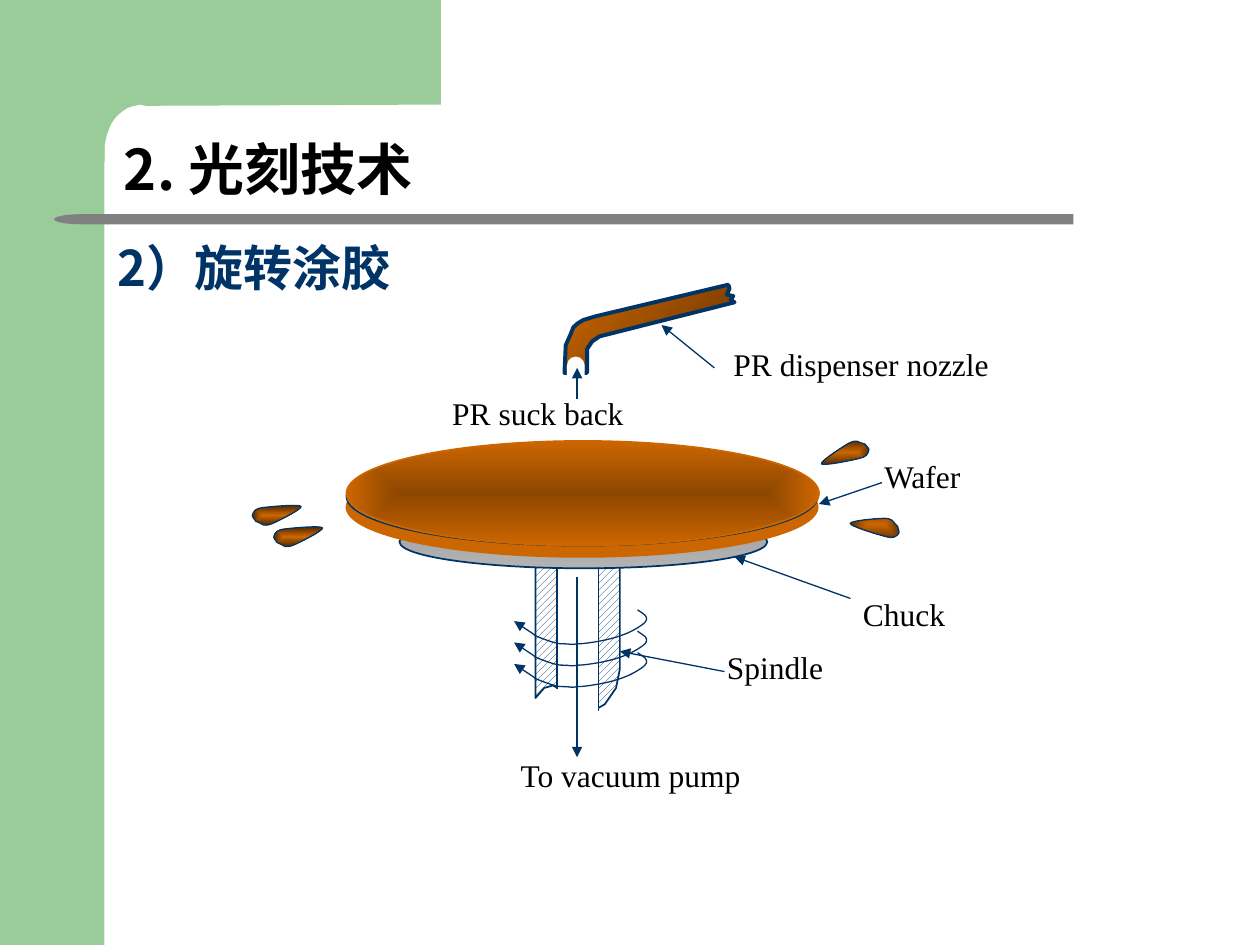
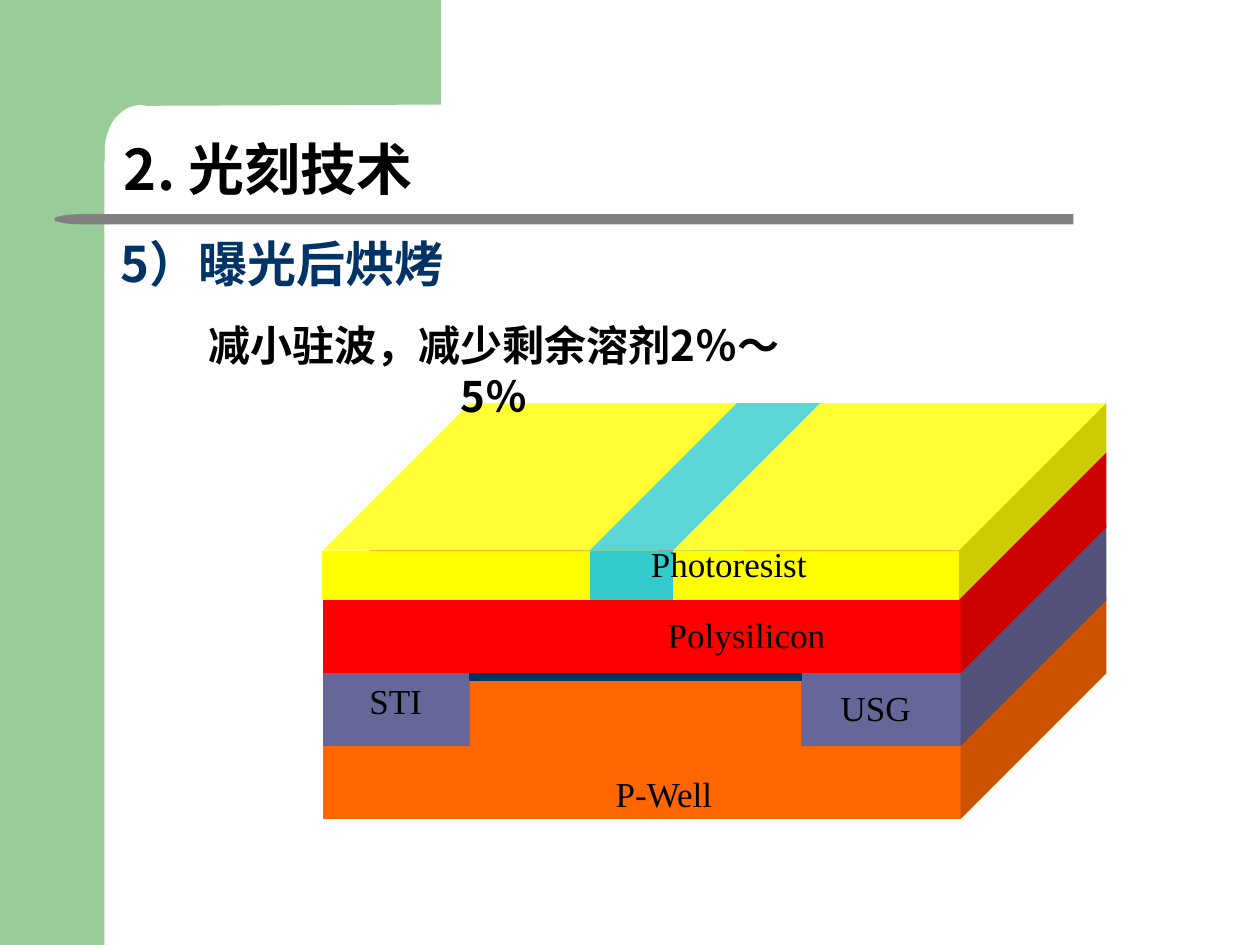
"""Build two slides on photolithography: spin coating and post-exposure bake."""
from dataclasses import dataclass

from lxml import etree
from pptx import Presentation
from pptx import util as u
from pptx.dml.color import RGBColor
from pptx.enum import dml, shapes, text
from pptx.oxml.ns import qn

PRESET = shapes.MSO_SHAPE
LEFT, CENTER = text.PP_ALIGN.LEFT, text.PP_ALIGN.CENTER


@dataclass(frozen=True)
class Theme:
    """Colours, fonts and type sizes of the deck."""

    white: str = "FFFFFF"
    black: str = "000000"
    green: str = "99CC99"
    gray: str = "808080"
    navy: str = "003366"
    red: str = "FF0033"
    resist: str = "CC6600"
    resist_dark: str = "663300"
    resist_center: str = "8E4700"
    drop_edge: str = "5E2F00"
    chuck_top: str = "A0A0A0"
    chuck_bottom: str = "B2B2B2"
    well: str = "FF6600"
    isolation: str = "666699"
    oxide: str = "333333"
    polysilicon: str = "FF0000"
    photoresist: str = "FFFF00"
    exposed: str = "33CCCC"
    chinese: str = "Noto Sans CJK SC"
    latin: str = "Times New Roman"
    section_size: int = 32
    title_size: int = 28
    body_size: int = 24
    layer_size: int = 20
    label_size: int = 18


THEME = Theme()
CORNER = ((3.5, 0), (3.5, 0.83), (1.16, 0.84), (1.11, 0.83), (1.03, 0.85),
          (1, 0.86, 0.96, 0.89, 0.93, 0.92), (0.9, 0.95, 0.87, 1, 0.86, 1.04),
          (0.84, 1.08, 0.84, 1.12, 0.83, 1.16), (0.83, 1.28), (0.5, 1.28), (0.5, 0.83),
          (0.5, 0), (3.5, 0))
SPINDLE = ((4.25, 4.35), (4.25, 5.54), (4.32, 5.46), (4.39, 5.44), (4.51, 5.51),
           (4.6, 5.6), (4.71, 5.64), (4.8, 5.59), (4.89, 5.46), (4.92, 5.31), (4.92, 4.35))
FLOW = ((3.74, 4.11), (3.97, 4.12), (4.24, 4.17), (4.45, 4.22), (4.54, 4.26))
NOZZLE = ((5.78, 2.26), (4.73, 2.51), (4.63, 2.54), (4.58, 2.57), (4.55, 2.6),
          (4.53, 2.65), (4.49, 2.74), (4.48, 2.96), (4.66, 2.96), (4.66, 2.87), (4.66, 2.77),
          (4.7, 2.71), (4.76, 2.67), (5.83, 2.4), (5.8, 2.38), (5.82, 2.35),
          (5.77, 2.34), (5.79, 2.29), (5.78, 2.26))
DROP = ((0.39, 0.02), (0.4, 0.04, 0.2, 0.14, 0.15, 0.16), (0.09, 0.18, 0.08, 0.16, 0.06, 0.15),
        (0.04, 0.15, 0.02, 0.13, 0.01, 0.11), (0, 0.1, 0, 0.09, 0.01, 0.07),
        (0.02, 0.06, 0.02, 0.04, 0.08, 0.03), (0.15, 0.02, 0.38, 0, 0.39, 0.02))
SPIN = ((5.06, 4.84), (5.07, 4.85, 5.13, 4.88, 5.13, 4.9), (5.14, 4.93, 5.11, 4.95, 5.08, 4.97),
        (5.05, 4.99, 5, 5.02, 4.94, 5.04), (4.89, 5.06, 4.81, 5.08, 4.75, 5.09),
        (4.69, 5.1, 4.63, 5.11, 4.58, 5.11), (4.54, 5.12, 4.52, 5.11, 4.48, 5.11),
        (4.45, 5.11, 4.44, 5.11, 4.4, 5.1), (4.36, 5.09, 4.28, 5.06, 4.26, 5.05),
        (4.23, 5.04, 4.26, 5.05, 4.23, 5.03), (4.2, 5.01, 4.11, 4.95, 4.08, 4.93))


def length(inches):
    """Turn inches into a length given in centimetres."""
    return u.Cm(inches * 2.54)


def box_of(box):
    """Turn left, top, width and height into lengths."""
    return [length(value) for value in box]


def rgb(value):
    """Turn a hex string into a colour."""
    return RGBColor.from_string(value)


def paint(shape, fill=None, line=None, width=1):
    """Give a shape a plain fill and line, or none."""
    shape.shadow.inherit = False
    if fill:
        shape.fill.solid()
        shape.fill.fore_color.rgb = rgb(fill)
    else:
        shape.fill.background()
    if line:
        shape.line.color.rgb = rgb(line)
        shape.line.width = u.Pt(width)
    else:
        shape.line.fill.background()
    return shape


def shade(shape, first, last, angle=None, path=None):
    """Give a shape a linear gradient, or one that spreads from its centre."""
    shape.fill.gradient()
    for stop, color in zip(shape.fill.gradient_stops, (first, last)):
        stop.color.rgb = rgb(color)
    if angle is not None:
        shape.fill.gradient_angle = angle
    if path:
        gradient = shape._element.spPr.find(qn("a:gradFill"))
        gradient.remove(gradient.find(qn("a:lin")))
        spread = etree.SubElement(gradient, qn("a:path"), path=path)
        etree.SubElement(spread, qn("a:fillToRect"), l="50000", t="50000", r="50000", b="50000")


def add_arrowhead(shape):
    """Put a triangle at the end of a line."""
    line = shape._element.spPr.find(qn("a:ln"))
    etree.SubElement(line, qn("a:tailEnd"), type="triangle")


def add_preset(slide, preset, box, fill=None, adjust=None, **line):
    """Add a preset shape."""
    shape = slide.shapes.add_shape(preset, *box_of(box))
    if adjust is not None:
        shape.adjustments[0] = adjust
    return paint(shape, fill, **line)


def add_outline(slide, outline, offset=(0, 0), close=True, **style):
    """Add a freeform of corners (x, y) and cubic curves (six numbers)."""
    parts = [[length(value + offset[i % 2]) for i, value in enumerate(part)] for part in outline]
    builder = slide.shapes.build_freeform(*parts[0])
    builder.add_line_segments([part[-2:] for part in parts[1:]], close=close)
    shape = builder.convert_to_shape()
    for part, segment in zip(parts[1:], list(shape._element.iter(qn("a:lnTo")))):
        if len(part) == 6:
            curve = etree.Element(qn("a:cubicBezTo"))
            for x, y in zip(part[::2], part[1::2]):
                etree.SubElement(curve, qn("a:pt"), x=str(x - shape.left), y=str(y - shape.top))
            segment.getparent().replace(segment, curve)
    return paint(shape, **style)


def add_line(slide, start, end, width=0.75, arrow=True):
    """Add a straight line or arrow."""
    ends = [length(value) for value in (*start, *end)]
    connector = slide.shapes.add_connector(shapes.MSO_CONNECTOR.STRAIGHT, *ends)
    connector.line.color.rgb = rgb(THEME.navy)
    connector.line.width = u.Pt(width)
    if arrow:
        add_arrowhead(connector)
    etree.SubElement(connector._element.spPr, qn("a:effectLst"))


def write(shape, words, size, font=THEME.latin, color=THEME.black, bold=False,
          align=CENTER, anchor=text.MSO_ANCHOR.TOP, spacing=1.0, inset=0):
    """Write one formatted paragraph into a shape."""
    frame = shape.text_frame
    frame.word_wrap = True
    frame.auto_size = text.MSO_AUTO_SIZE.NONE
    frame.vertical_anchor = anchor
    frame.margin_left = frame.margin_right = length(0.1 + inset)
    frame.margin_top = frame.margin_bottom = length(0.05 + inset)
    paragraph = frame.paragraphs[0]
    paragraph.alignment = align
    paragraph.line_spacing = spacing
    paragraph.space_before = u.Pt(0)
    run = paragraph.add_run()
    run.text = words
    run.font.name = font
    run.font.size = u.Pt(size)
    run.font.bold = bold
    run.font.color.rgb = rgb(color)
    etree.SubElement(run.font._element, qn("a:ea"), typeface=font)


def add_label(slide, words, box, size=THEME.label_size, **style):
    """Add a text box."""
    write(slide.shapes.add_textbox(*box_of(box)), words, size, **style)


def decorate(layout, slide):
    """Draw the shared green corner and gray rule and move them to the layout."""
    cap = add_preset(slide, PRESET.FLOWCHART_DELAY, (0.43, 1.7, 0.43, 0.08), THEME.gray)
    cap._element.spPr.find(qn("a:xfrm")).set("flipH", "1")
    parts = (
        add_preset(slide, PRESET.RECTANGLE, (0, 0, 0.83, 7.5), THEME.green),
        add_outline(slide, CORNER, fill=THEME.green),
        add_preset(slide, PRESET.ROUNDED_RECTANGLE, (0.85, 1.7, 7.67, 0.08), THEME.gray, 0),
        cap,
    )
    for part in parts:
        layout.shapes._spTree.append(part._element)


def add_headings(slide, title, inset=0):
    """Write the section heading and the slide title."""
    heading = {"font": THEME.chinese, "bold": True, "align": LEFT,
               "anchor": text.MSO_ANCHOR.BOTTOM, "spacing": 0.9}
    section = add_preset(slide, PRESET.ROUNDED_RECTANGLE, (0.83, 0.84, 3.54, 0.87), adjust=0.22)
    write(section, "2. 光刻技术", THEME.section_size, **heading)
    placeholder = slide.shapes.title
    placeholder.left, placeholder.top, placeholder.width, placeholder.height = box_of(
        (0.83, 1.86, 3.62, 0.55))
    write(placeholder, title, THEME.title_size, color=THEME.navy, inset=inset, **heading)


def draw_spin_coater(slide):
    """Draw the chuck, wafer, nozzle and resist drops."""
    navy = {"line": THEME.navy}
    thin = {"line": THEME.navy, "width": 0.75}
    spindle = add_outline(slide, SPINDLE, close=False, **navy)
    spindle.fill.patterned()
    spindle.fill.pattern = dml.MSO_PATTERN.WIDE_UPWARD_DIAGONAL
    spindle.fill.fore_color.rgb = rgb(THEME.navy)
    spindle.fill.back_color.rgb = rgb(THEME.white)
    add_preset(slide, PRESET.RECTANGLE, (4.42, 4.39, 0.33, 1.33), THEME.white)
    for box in ((3.17, 4.09, 2.92, 0.42), (3, 3.77, 3.22, 0.59), (3.25, 3.92, 2.72, 0.42),
                (3.25, 3.96, 2.72, 0.42), (3.53, 4.02, 2.18, 0.34), (3.53, 4.05, 2.18, 0.34),
                (3.82, 4.13, 1.56, 0.24), (3.82, 4.15, 1.56, 0.24)):
        chuck = add_preset(slide, PRESET.OVAL, box, **navy)
        shade(chuck, THEME.chuck_top, THEME.chuck_bottom, angle=270)
    add_arrowhead(add_outline(slide, FLOW, close=False, line=THEME.red))
    add_line(slide, (4.58, 4.58), (4.58, 6.01), width=1)
    add_preset(slide, PRESET.OVAL, (2.75, 3.63, 3.74, 0.79), THEME.resist, line=THEME.resist)
    add_preset(slide, PRESET.OVAL, (2.75, 3.55, 3.74, 0.78), THEME.white, **navy)
    nozzle = add_outline(slide, NOZZLE, line=THEME.navy, width=2.25)
    shade(nozzle, THEME.resist, THEME.resist_dark, angle=315)
    film = add_preset(slide, PRESET.OVAL, (2.75, 3.5, 3.75, 0.83), line=THEME.resist)
    shade(film, THEME.resist_center, THEME.resist, path="shape")
    for x, bottom in ((4.42, 5.47), (4.75, 5.64)):
        add_line(slide, (x, 4.5), (x, bottom), arrow=False)
    add_preset(slide, PRESET.ROUNDED_RECTANGLE, (4.5, 2.83, 0.14, 0.25), THEME.white, 0.5)
    for x, y, rotation in ((2, 4, 0), (2.17, 4.17, 0), (6.75, 4.07, 201.8), (6.5, 3.5, 173.5)):
        drop = add_outline(slide, DROP, (x, y), **thin)
        shade(drop, THEME.resist, THEME.drop_edge, path="rect")
        drop.rotation = rotation
    for turn in range(3):
        add_arrowhead(add_outline(slide, SPIN, (0, turn * 0.17), close=False, **thin))
    for start, end in (((6.75, 4.75), (5.83, 4.42)), ((5.75, 5.33), (4.92, 5.17)),
                       ((5.67, 2.92), (5.25, 2.58)), ((4.58, 3.17), (4.58, 2.92)),
                       ((7, 3.83), (6.5, 4))):
        add_line(slide, start, end)
    for words, box in (("To vacuum pump", (3.92, 6.01, 2.17, 0.74)),
                       ("PR dispenser nozzle", (5.67, 2.75, 2.33, 0.74))):
        add_label(slide, words, box, spacing=0.8)
    for words, box in (("Spindle", (5.67, 5.09, 1.22, 0.5)), ("Chuck", (6.75, 4.67, 1.07, 0.5)),
                       ("PR suck back", (3.49, 3.08, 2.01, 0.5)),
                       ("Wafer", (6.92, 3.58, 1.03, 0.5))):
        add_label(slide, words, box, align=LEFT)


def draw_layer_stack(slide):
    """Draw the layers of the wafer after exposure."""
    cube = {"preset": PRESET.CUBE, "adjust": 0.66}
    add_preset(slide, box=(2.56, 4.75, 6.22, 1.75), fill=THEME.well, **cube)
    add_preset(slide, box=(2.56, 4.17, 6.22, 1.75), fill=THEME.isolation, **cube)
    for color, height, line in ((THEME.well, 0.58, {}),
                                (THEME.oxide, 0.06, {"line": THEME.navy, "width": 0.75})):
        add_preset(slide, PRESET.PARALLELOGRAM, (3.73, 4.75, 3.29, 0.58), color, 0.98)
        front = THEME.navy if line else color
        add_preset(slide, PRESET.RECTANGLE, (3.73, 5.34, 2.63, height), front, **line)
    add_preset(slide, box=(2.56, 3.59, 6.22, 1.75), fill=THEME.polysilicon, **cube)
    for left, width, color in ((2.56, 3.44, THEME.photoresist), (4.68, 1.98, THEME.exposed),
                               (5.34, 3.44, THEME.photoresist)):
        add_preset(slide, PRESET.CUBE, (left, 3.2, width, 1.56), color, 0.75)
    for words, left, top, width in (("P-Well", 4.39, 6.08, 1.76), ("USG", 6.44, 5.4, 1.02),
                                    ("STI", 2.63, 5.34, 1.02), ("Polysilicon", 4.46, 4.82, 2.93),
                                    ("Photoresist", 4.32, 4.26, 2.93)):
        add_label(slide, words, (left, top, width, 0.34), THEME.layer_size)
    add_label(slide, "减小驻波，减少剩余溶剂2％～5％", (1.42, 2.49, 5, 0.5), THEME.body_size,
              font=THEME.chinese, bold=True)


def main():
    """Build and save the presentation."""
    presentation = Presentation()
    presentation.slide_width, presentation.slide_height = u.Cm(25.4), u.Cm(19.05)
    layout = presentation.slide_layouts[5]
    coating, bake = (presentation.slides.add_slide(layout) for _ in range(2))
    decorate(layout, coating)
    draw_spin_coater(coating)
    add_headings(coating, "2）旋转涂胶")
    draw_layer_stack(bake)
    add_headings(bake, "5）曝光后烘烤", inset=0.03)
    presentation.save("out.pptx")


if __name__ == "__main__":
    main()
